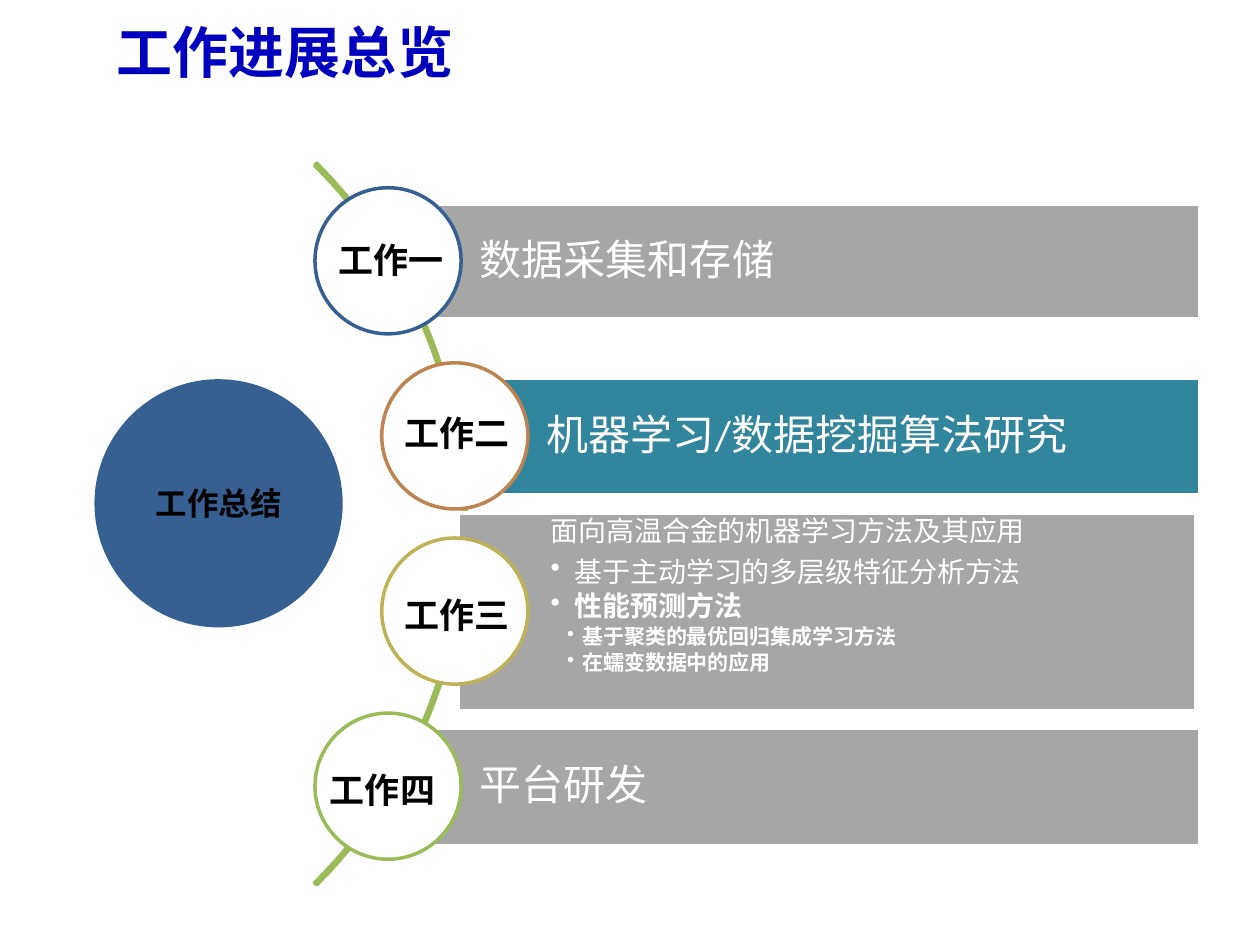
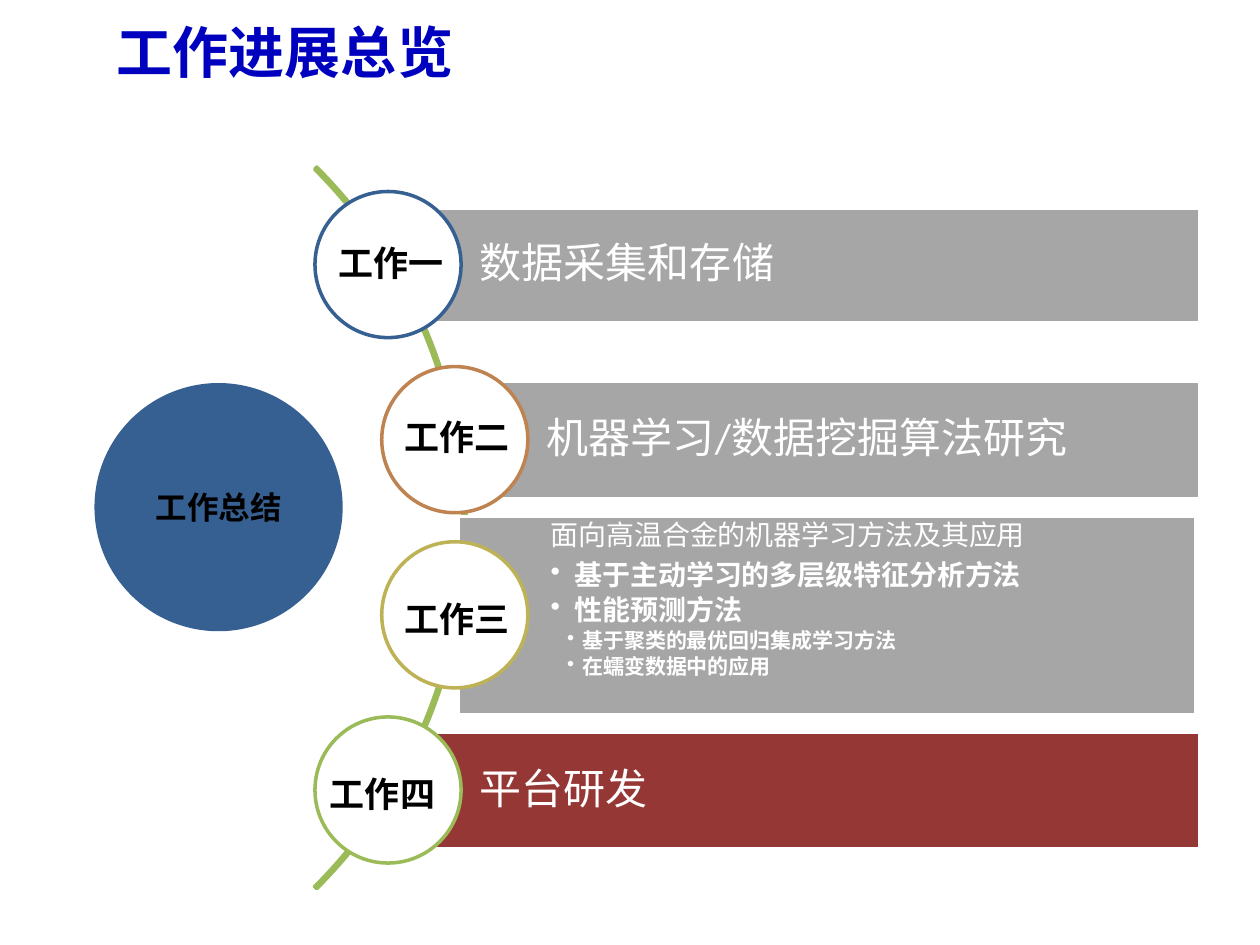
from typing import Any, NamedTuple, Optional

import lxml.etree
import pptx
import pptx.dml.color
import pptx.enum.shapes
import pptx.enum.text
import pptx.oxml.ns
import pptx.util

Kind = pptx.enum.shapes.MSO_SHAPE
Anchor = pptx.enum.text.MSO_ANCHOR
Align = pptx.enum.text.PP_ALIGN
PX = 9144  # EMU in one px, 100 px to the inch


class Theme(NamedTuple):
    body: str = "Calibri"
    head: str = "Noto Sans CJK SC"
    title: str = "0000BF"
    blue: str = "376092"
    green: str = "9BBB59"
    orange: str = "BE8351"
    gold: str = "BDB255"
    gray: str = "A6A6A6"
    teal: str = "31859C"
    red: str = "953735"
    white: str = "FFFFFF"
    black: str = "000000"
    h1: int = 32
    bar: int = 24
    tag: int = 20
    hub: int = 18
    item: int = 16
    sub: int = 12
    line: int = 2


T = Theme()


class Box(NamedTuple):
    x: int
    y: int
    w: int
    h: int

    def down(self, dy: int) -> "Box":
        return self._replace(y=self.y + dy)


class Step(NamedTuple):
    tag: str
    text: str
    bar: Box
    ring: Box
    label: Box
    edge: str


class Point(NamedTuple):
    text: str
    size: int
    left: int
    hang: int


class Page(NamedTuple):
    dy: int
    lit: int  # index of the highlighted step
    fill: str
    bold: int  # index of the first bold point


RING = 116
TOPIC = 2  # index of the step that lists points
STEPS = [
    Step("工作一", "数据采集和存储", Box(308, 162, 644, 91),
         Box(250, 149, RING, RING), Box(259, 184, 111, 44), T.blue),
    Step("工作二", "机器学习/数据挖掘算法研究", Box(361, 300, 591, 93),
         Box(303, 288, RING, RING), Box(311, 322, 106, 44), T.orange),
    Step("工作三", "面向高温合金的机器学习方法及其应用", Box(364, 407, 585, 157),
         Box(303, 427, RING, RING), Box(311, 466, 118, 44), T.gold),
    Step("工作四", "平台研发", Box(308, 578, 644, 93),
         Box(250, 566, RING, RING), Box(252, 605, 118, 44), T.green),
]
POINTS = [
    Point("基于主动学习的多层级特征分析方法", T.item, 19, 19),
    Point("性能预测方法", T.item, 19, 19),
    Point("基于聚类的最优回归集成学习方法", T.sub, 25, 12),
    Point("在蠕变数据中的应用", T.sub, 25, 12),
]
PAGES = [Page(0, 1, T.teal, 1), Page(3, 3, T.red, 0)]


def tint(hue: str) -> pptx.dml.color.RGBColor:
    return pptx.dml.color.RGBColor.from_string(hue)


def spot(box: Box) -> list[int]:
    return [n * PX for n in box]


def write(frame: Any, text: str, *, size: int, color: str = T.white,
          font: str = T.body, bold: bool = False, align: Any = Align.LEFT,
          lead: Optional[float] = None, after: float = 0,
          left: int = 0, hang: int = 0) -> None:
    """Add a paragraph; a hanging indent brings a bullet with it."""
    para = frame.paragraphs[0]
    if para.runs:
        para = frame.add_paragraph()
    if hang:
        props = para._p.get_or_add_pPr()
        props.set("marL", str(left * PX))
        props.set("indent", str(-hang * PX))
        mark = lxml.etree.SubElement(props, pptx.oxml.ns.qn("a:buChar"))
        mark.set("char", "•")
    para.alignment = align
    if lead:
        para.line_spacing = lead
    if after:
        para.space_after = pptx.util.Pt(after)
    run = para.add_run()
    run.text = text
    run.font.size = pptx.util.Pt(size)
    run.font.bold = bold
    run.font.name = font
    run.font.color.rgb = tint(color)
    east = lxml.etree.SubElement(run._r.get_or_add_rPr(), pptx.oxml.ns.qn("a:ea"))
    east.set("typeface", font)


def shape(slide: Any, kind: Any, box: Box, fill: Optional[str] = None,
          edge: Optional[str] = None) -> Any:
    form = slide.shapes.add_shape(kind, *spot(box))
    form.shadow.inherit = False
    if fill:
        form.fill.solid()
        form.fill.fore_color.rgb = tint(fill)
    else:
        form.fill.background()
    if edge:
        form.line.color.rgb = tint(edge)
        form.line.width = pptx.util.Pt(T.line)
    else:
        form.line.fill.background()
    return form


def label(slide: Any, box: Box, text: str, anchor: Any = Anchor.TOP, **style: Any) -> None:
    frame = slide.shapes.add_textbox(*spot(box)).text_frame
    frame.word_wrap = True
    frame.vertical_anchor = anchor
    write(frame, text, bold=True, **style)


def inset(frame: Any, left: int, rest: int) -> None:
    frame.margin_left = left * PX
    frame.margin_top = frame.margin_right = frame.margin_bottom = rest * PX


def hub(slide: Any, dy: int) -> None:
    """Draw the centre disc and the arc that carries the rings."""
    disc = shape(slide, Kind.OVAL, Box(75, 301, 197, 197).down(dy), T.blue)
    disc.text_frame.vertical_anchor = Anchor.MIDDLE
    write(disc.text_frame, "工作总结", size=T.hub, color=T.black, bold=True,
          align=Align.CENTER)
    arc = shape(slide, Kind.BLOCK_ARC, Box(-440, 11, 810, 810).down(dy), edge=T.green)
    for i, value in enumerate((189, 27, 0.003)):
        arc.adjustments[i] = value


def step(slide: Any, page: Page, i: int) -> None:
    item = STEPS[i]
    fill = page.fill if i == page.lit else T.gray
    frame = shape(slide, Kind.RECTANGLE, item.bar.down(page.dy), fill, T.white).text_frame
    frame.word_wrap = True
    if i == TOPIC:
        inset(frame, 73, 4)
        frame.vertical_anchor = Anchor.TOP
        write(frame, item.text, size=T.item, lead=0.9, after=T.item * 0.35)
        for n, point in enumerate(POINTS):
            write(frame, point.text, size=point.size, bold=n >= page.bold, lead=0.9,
                  after=point.size * 0.15, left=point.left, hang=point.hang)
    else:
        inset(frame, 73, 7)
        frame.vertical_anchor = Anchor.MIDDLE
        write(frame, item.text, size=T.bar, lead=0.9)
    shape(slide, Kind.OVAL, item.ring.down(page.dy), T.white, item.edge)
    label(slide, item.label.down(page.dy), item.tag, size=T.tag, color=T.black)


def main() -> None:
    deck = pptx.Presentation()
    deck.slide_width, deck.slide_height = 1000 * PX, 750 * PX
    for page in PAGES:
        slide = deck.slides.add_slide(deck.slide_layouts[6])
        label(slide, Box(83, -3, 900, 87), "工作进展总览", Anchor.MIDDLE,
              size=T.h1, color=T.title, font=T.head)
        hub(slide, page.dy)
        for i in range(len(STEPS)):
            step(slide, page, i)
    deck.save("out.pptx")


if __name__ == "__main__":
    main()
